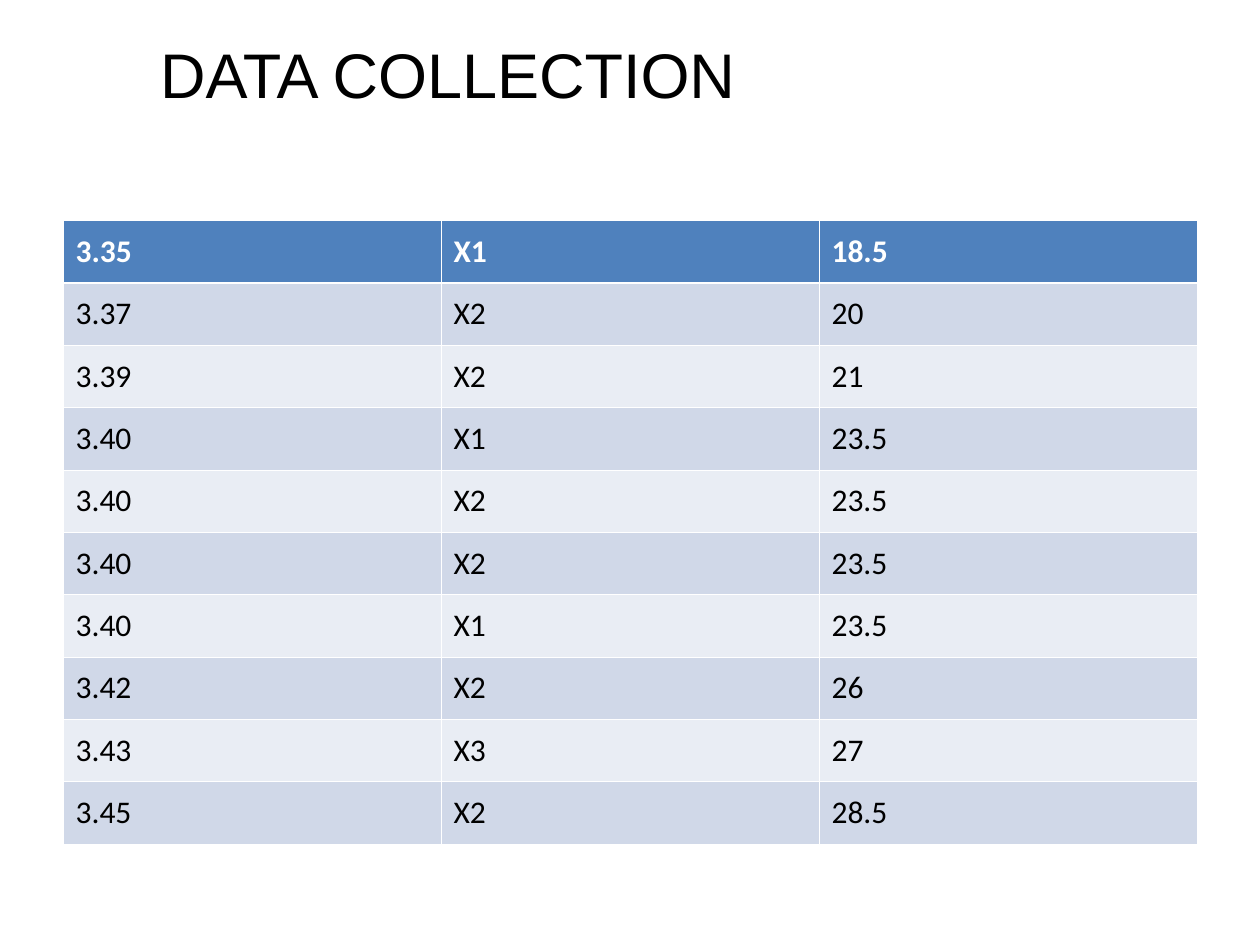
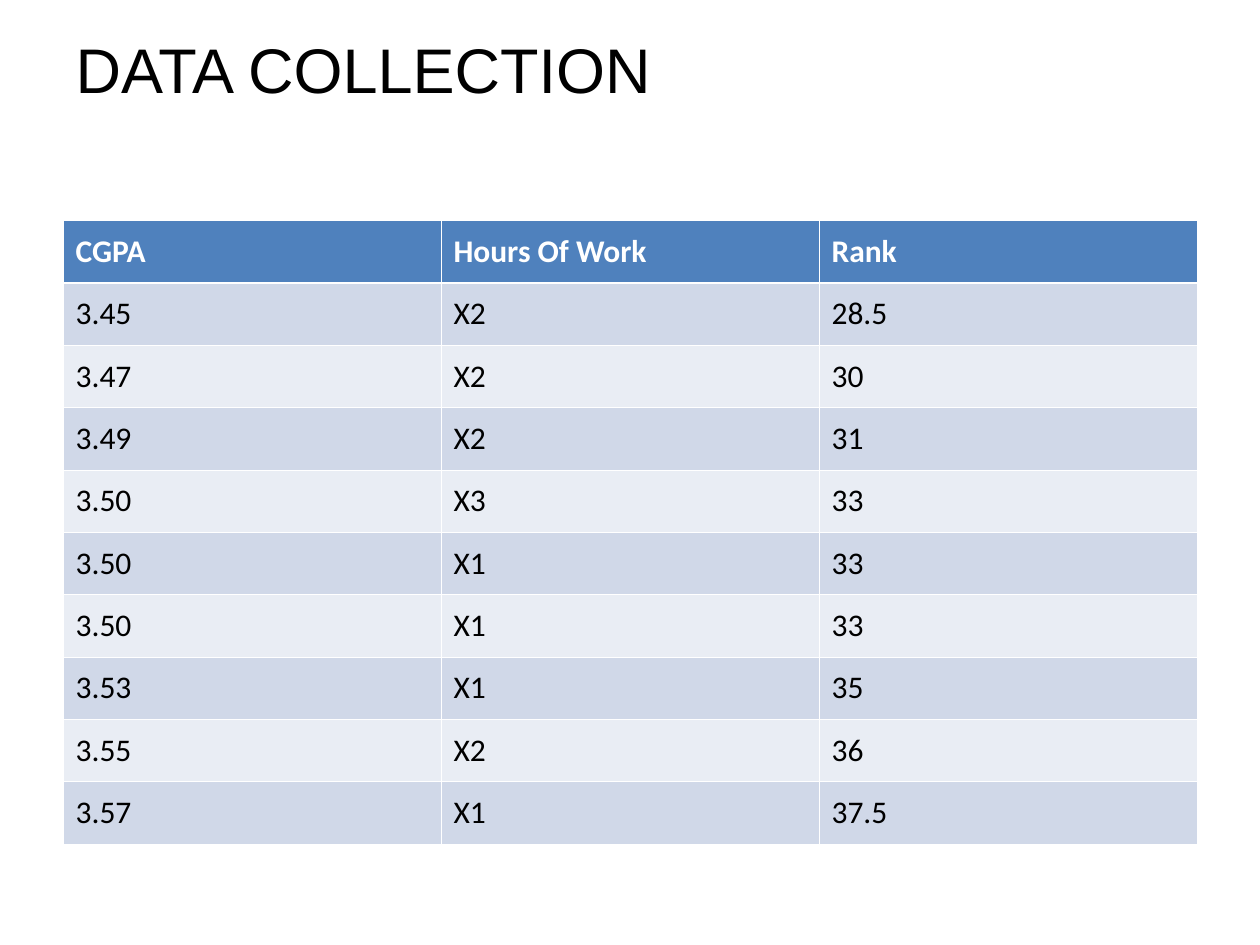
from lxml.etree import SubElement
from pptx import Presentation
from pptx.dml.color import RGBColor
from pptx.enum.text import MSO_ANCHOR, PP_ALIGN
from pptx.oxml.ns import qn
from pptx.util import Inches, Pt

COLORS = {
    "header": "4F81BD",
    "odd_row": "D0D8E8",
    "even_row": "E9EDF4",
    "rule": "FFFFFF",
    "header_text": "FFFFFF",
    "text": "000000",
}
THIN, THICK = 0.45, 1.47

COLLECTIONS = [
    ((1.17, 0.07, 8.69, 1.03), [
        ("3.35", "X1", "18.5"),
        ("3.37", "X2", "20"),
        ("3.39", "X2", "21"),
        ("3.40", "X1", "23.5"),
        ("3.40", "X2", "23.5"),
        ("3.40", "X2", "23.5"),
        ("3.40", "X1", "23.5"),
        ("3.42", "X2", "26"),
        ("3.43", "X3", "27"),
        ("3.45", "X2", "28.5"),
    ]),
    ((0.5, 0.08, 9, 0.92), [
        ("CGPA", "Hours Of Work", "Rank"),
        ("3.45", "X2", "28.5"),
        ("3.47", "X2", "30"),
        ("3.49", "X2", "31"),
        ("3.50", "X3", "33"),
        ("3.50", "X1", "33"),
        ("3.50", "X1", "33"),
        ("3.53", "X1", "35"),
        ("3.55", "X2", "36"),
        ("3.57", "X1", "37.5"),
    ]),
]


def write(frame, text, font="Calibri", size=18, color="text", bold=False):
    frame.word_wrap = True
    paragraph = frame.paragraphs[0]
    paragraph.alignment = PP_ALIGN.LEFT
    run = paragraph.add_run()
    run.text = text
    run.font.name = font
    run.font.size = Pt(size)
    run.font.bold = bold
    run.font.color.rgb = RGBColor.from_string(COLORS[color])


def rule_cell(cell, top, bottom):
    properties = cell._tc.get_or_add_tcPr()
    for side, width in (("L", THIN), ("R", THIN), ("T", top), ("B", bottom)):
        line = SubElement(properties, qn(f"a:ln{side}"), w=str(Pt(width)))
        fill = SubElement(line, qn("a:solidFill"))
        SubElement(fill, qn("a:srgbClr"), val=COLORS["rule"])


deck = Presentation()
deck.slide_width, deck.slide_height = Inches(10), Inches(7.5)

for title_place, records in COLLECTIONS:
    slide = deck.slides.add_slide(deck.slide_layouts[5])
    heading = slide.shapes.title
    heading.left, heading.top, heading.width, heading.height = map(Inches, title_place)
    heading.text_frame.vertical_anchor = MSO_ANCHOR.MIDDLE
    write(heading.text_frame, "DATA COLLECTION", font="Arial", size=36)

    ranking = slide.shapes.add_table(
        len(records), len(records[0]), Inches(0.5), Inches(1.75), Inches(9), Inches(4.95)
    ).table
    for row, record in enumerate(records):
        is_header = row == 0
        band = "header" if is_header else ("even_row", "odd_row")[row % 2]
        for column, value in enumerate(record):
            cell = ranking.cell(row, column)
            cell.vertical_anchor = MSO_ANCHOR.MIDDLE
            rule_cell(cell, THICK if row == 1 else THIN, THICK if is_header else THIN)
            cell.fill.solid()
            cell.fill.fore_color.rgb = RGBColor.from_string(COLORS[band])
            write(cell.text_frame, value, color="header_text" if is_header else "text", bold=is_header)

deck.save("out.pptx")
